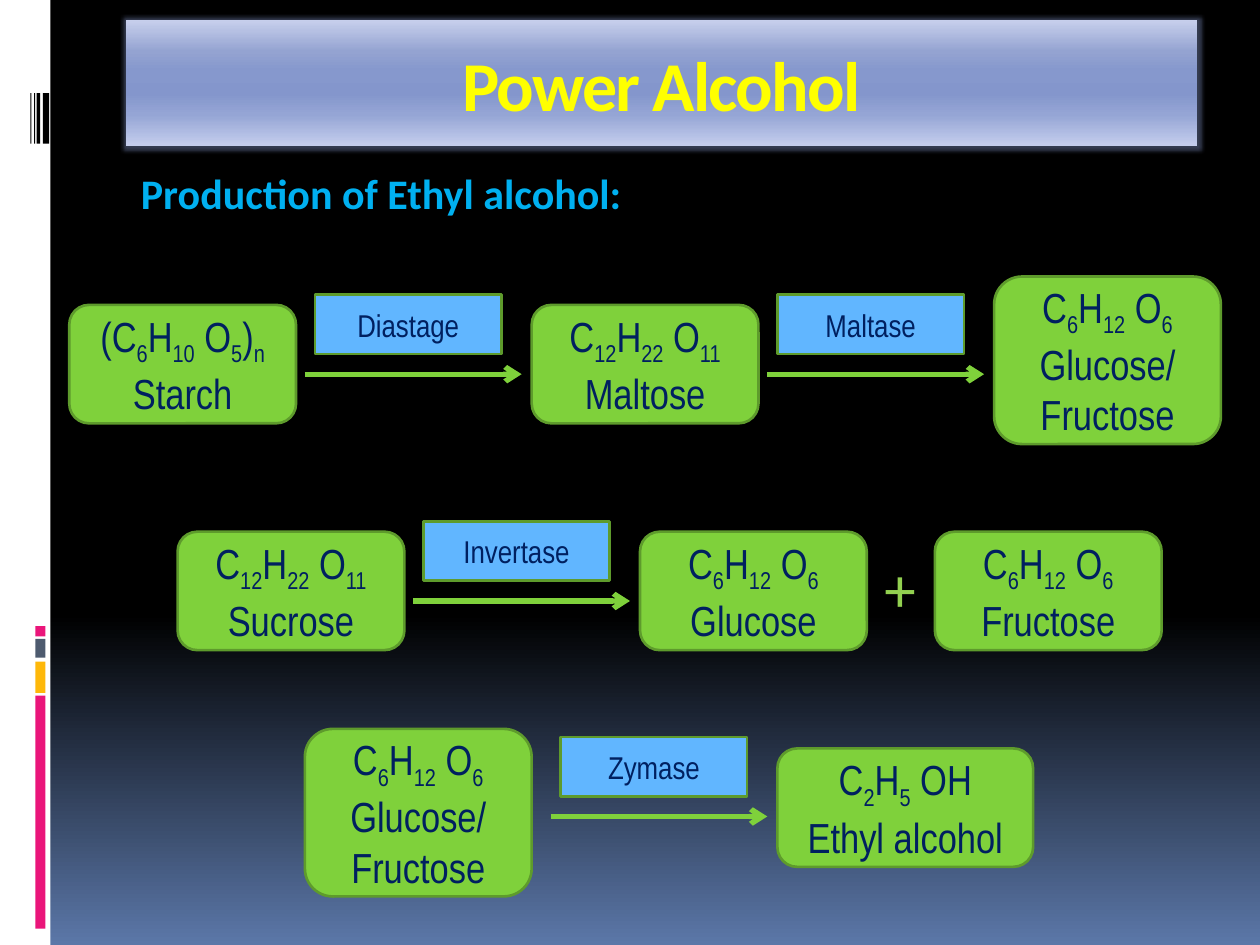
from itertools import groupby

from lxml import etree
from pptx import Presentation
from pptx.dml.color import RGBColor
from pptx.enum.shapes import MSO_CONNECTOR, MSO_SHAPE
from pptx.enum.text import MSO_ANCHOR, PP_ALIGN
from pptx.oxml.ns import qn
from pptx.util import Inches, Pt

RECT = MSO_SHAPE.RECTANGLE
ROUNDED = MSO_SHAPE.ROUNDED_RECTANGLE
STRAIGHT = MSO_CONNECTOR.STRAIGHT
CENTER, LEFT = PP_ALIGN.CENTER, PP_ALIGN.LEFT
MIDDLE, TOP = MSO_ANCHOR.MIDDLE, MSO_ANCHOR.TOP

BACKGROUND_STOPS = [(0, "000000"), (65, "000000"), (100, "5B77A8")]
TITLE_STOPS = [(0, "C7CFEC"), (25, "94A3D1"), (40, "8698CD"), (50, "8496CC"),
               (60, "8698CD"), (75, "95A5D5"), (100, "C5CEED")]


def color(value):
    return RGBColor.from_string(value)


def add_color(parent, value):
    return etree.SubElement(parent, qn("a:srgbClr"), val=value)


def fill_gradient(fill, holder, stops):
    """Fill from top to bottom with any number of stops."""
    fill.gradient()
    fill.gradient_angle = 270
    stop_list = next(holder.iter(qn("a:gsLst")))
    for old_stop in list(stop_list):
        stop_list.remove(old_stop)
    for percent, value in stops:
        stop = etree.SubElement(stop_list, qn("a:gs"), pos=str(percent * 1000))
        add_color(stop, value)


class ReactionSlide:
    HEADING_FONT, FORMULA_FONT = "Calibri", "Arial Narrow"
    GREEN, EDGE, BLUE, NAVY = "7FD13B", "5E9B2C", "61B6FF", "002060"
    BOX_WIDTH = 1.8
    ARROW_LENGTH = 1.72

    def __init__(self, slide):
        self.slide = slide
        background = slide.background.fill
        fill_gradient(background, slide.element, BACKGROUND_STOPS)

    def style(self, paragraph, font, size, value, bold=False, align=CENTER):
        paragraph.alignment = align
        paragraph.font.name = font
        paragraph.font.size = Pt(size)
        paragraph.font.bold = bold
        paragraph.font.color.rgb = color(value)

    def block(self, left, top, width, height, fill, edge=None, kind=RECT):
        shape = self.slide.shapes.add_shape(
            kind, Inches(left), Inches(top), Inches(width), Inches(height))
        shape.shadow.inherit = False
        shape.fill.solid()
        shape.fill.fore_color.rgb = color(fill)
        if edge:
            shape.line.color.rgb = color(edge)
            shape.line.width = Pt(1.5)
        else:
            shape.line.fill.background()
        return shape

    def title(self, text):
        title = self.slide.shapes.title
        title.left, title.top = Inches(1), Inches(0.16)
        title.width, title.height = Inches(8.5), Inches(1)
        fill_gradient(title.fill, title.element, TITLE_STOPS)
        # Soft glow around the banner
        title.shadow.inherit = False
        effects = next(title.element.iter(qn("a:effectLst")))
        glow = etree.SubElement(effects, qn("a:glow"), rad=str(Pt(5)))
        etree.SubElement(add_color(glow, "8496CC"), qn("a:alpha"), val="40000")
        title.text_frame.text = text
        title.text_frame.vertical_anchor = MIDDLE
        heading = title.text_frame.paragraphs[0]
        self.style(heading, self.HEADING_FONT, 40, "FFFF00", bold=True)
        heading.runs[0].font.bold = True
        heading.runs[0]._r.get_or_add_rPr().set("spc", "-100")

    def text(self, left, top, width, height, words, size, value,
             bold=False, anchor=TOP):
        box = self.slide.shapes.add_textbox(
            Inches(left), Inches(top), Inches(width), Inches(height))
        box.text_frame.word_wrap = True
        box.text_frame.vertical_anchor = anchor
        box.text_frame.text = words
        self.style(box.text_frame.paragraphs[0], self.HEADING_FONT, size,
                   value, bold, LEFT)

    def substance(self, left, middle, formula, *names, width=BOX_WIDTH):
        """Box with a formula, its counts set as subscripts, above the name."""
        height = 0.94 if len(names) == 1 else 1.33
        box = self.block(left, middle - height / 2, width, height,
                         self.GREEN, self.EDGE, ROUNDED)
        frame = box.text_frame
        frame.word_wrap = True
        frame.vertical_anchor = MIDDLE
        formula_line = frame.paragraphs[0]
        for is_count, letters in groupby(formula, lambda c: c in "0123456789n"):
            run = formula_line.add_run()
            run.text = "".join(letters)
            if is_count:
                run._r.get_or_add_rPr().set("baseline", "-25000")
        for name in names:
            frame.add_paragraph().text = name
        for paragraph in frame.paragraphs:
            self.style(paragraph, self.FORMULA_FONT, 24, self.NAVY)

    def reaction(self, left, y, enzyme):
        """Arrow with its enzyme in a box above."""
        arrow = self.slide.shapes.add_connector(
            STRAIGHT, Inches(left), Inches(y),
            Inches(left + self.ARROW_LENGTH), Inches(y))
        arrow.line.color.rgb = color(self.GREEN)
        arrow.line.width = Pt(3)
        etree.SubElement(arrow.line._get_or_add_ln(), qn("a:tailEnd"),
                         type="arrow")
        etree.SubElement(arrow.element.spPr, qn("a:effectLst"))
        label = self.block(left + 0.08, y - 0.63, 1.48, 0.47,
                           self.BLUE, self.EDGE)
        label.text_frame.vertical_anchor = MIDDLE
        label.text_frame.text = enzyme
        self.style(label.text_frame.paragraphs[0], self.FORMULA_FONT, 18,
                   self.NAVY)


def main():
    deck = Presentation()
    deck.slide_width, deck.slide_height = Inches(10), Inches(7.5)
    page = ReactionSlide(deck.slides.add_slide(deck.slide_layouts[5]))

    # Side strip with colour bars and thin stripes
    page.block(0, 0, 0.4, 7.5, "FFFFFF")
    for top, height, value in [(5.52, 1.85, "EA157A"), (5.25, 0.25, "FEB80A"),
                               (5.07, 0.15, "4E5B6F"), (4.97, 0.08, "EA157A")]:
        page.block(0.28, top, 0.08, height, value)
    for left, width in [(0.34, 0.05), (0.29, 0.03), (0.27, 0.01), (0.24, 0.01)]:
        page.block(left, 0.74, width, 0.4, "000000")

    # Headings
    page.title("Power Alcohol")
    page.text(1.02, 1.28, 8.52, 0.81, "Production of Ethyl alcohol:", 24,
              "00B0F0", bold=True)

    # Starch to sugars
    page.substance(0.55, 2.89, "(C6H10 O5)n", "Starch")
    page.reaction(2.42, 2.97, "Diastage")
    page.substance(4.22, 2.89, "C12H22 O11", "Maltose")
    page.reaction(6.09, 2.97, "Maltase")
    page.substance(7.89, 2.86, "C6H12 O6", "Glucose/", "Fructose")

    # Sucrose to glucose and fructose
    page.substance(1.41, 4.69, "C12H22 O11", "Sucrose")
    page.reaction(3.28, 4.77, "Invertase")
    page.substance(5.08, 4.69, "C6H12 O6", "Glucose")
    page.text(6.92, 4.31, 0.47, 0.71, "+", 36, "92D050", anchor=MIDDLE)
    page.substance(7.42, 4.69, "C6H12 O6", "Fructose")

    # Sugars to ethyl alcohol
    page.substance(2.42, 6.45, "C6H12 O6", "Glucose/", "Fructose")
    page.reaction(4.37, 6.48, "Zymase")
    page.substance(6.17, 6.41, "C2H5 OH", "Ethyl alcohol", width=2.03)

    deck.save("out.pptx")


if __name__ == "__main__":
    main()
